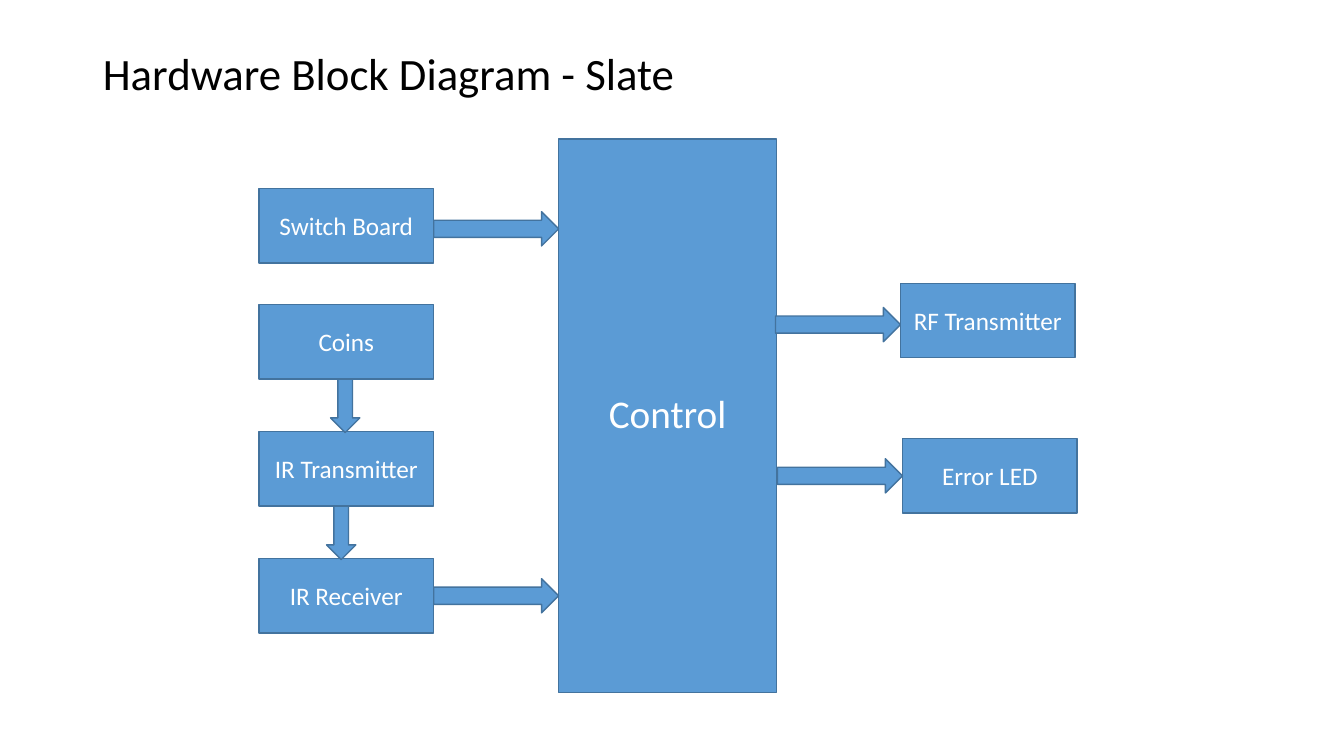
import pptx
import pptx.util
import pptx.dml.color
import pptx.enum.shapes
import pptx.enum.text

SHAPE = pptx.enum.shapes.MSO_SHAPE
ALIGN = pptx.enum.text.PP_ALIGN
WIDTH, HEIGHT = pptx.util.Inches(13.33), pptx.util.Inches(7.5)
FONT, BLUE, EDGE, WHITE, BLACK = "Calibri", "5B9BD5", "43739E", "FFFFFF", "000000"

# Lengths are percent of the slide: columns across, rows down
BOX_W, BOX_H = 13, 9.87
LEFT_COL = 19.27
BOARD_X, BOARD_Y, BOARD_W, BOARD_H = 41.57, 18.4, 16.2, 73.2
BOARD_RIGHT = BOARD_X + BOARD_W
LINK_W, LINK_H = 9.3, 4.53
DOWN_W, DOWN_H = 2.18, 7.07

# Label, row, and offset of the link arrow below the box top (None: no link)
INPUTS = [
    ("Switch Board", 24.93, 3.07),
    ("Coins", 40.27, None),
    ("IR Transmitter", 57.07, None),
    ("IR Receiver", 73.87, 2.67),
]
# Label, column, row, arrow offset
OUTPUTS = [
    ("RF Transmitter", 67, 37.47, 3.2),
    ("Error LED", 67.15, 58, 2.67),
]
# Row of the box above each downward arrow, and the arrow's column
STEPS = [(40.27, 24.6), (57.07, 24.3)]


def color(value):
    return pptx.dml.color.RGBColor.from_string(value)


def place(x, y, w, h):
    return [int(v * full / 100) for v, full in
            ((x, WIDTH), (y, HEIGHT), (w, WIDTH), (h, HEIGHT))]


def write(s, text, size=18, fill=WHITE, align=ALIGN.CENTER, spacing=None):
    tf = s.text_frame
    tf.word_wrap = True
    tf.vertical_anchor = pptx.enum.text.MSO_ANCHOR.MIDDLE
    p = tf.paragraphs[0]
    p.alignment = align
    p.line_spacing = spacing
    r = p.add_run()
    r.text = text
    r.font.name = FONT
    r.font.size = pptx.util.Pt(size)
    r.font.color.rgb = color(fill)


def add_block(slide, x, y, w, h, kind=SHAPE.RECTANGLE):
    s = slide.shapes.add_shape(kind, *place(x, y, w, h))
    s.shadow.inherit = False
    s.fill.solid()
    s.fill.fore_color.rgb = color(BLUE)
    s.line.color.rgb = color(EDGE)
    s.line.width = pptx.util.Pt(1)
    return s


def add_box(slide, text, x, y):
    write(add_block(slide, x, y, BOX_W, BOX_H), text)


def add_link(slide, x, y):
    add_block(slide, x, y, LINK_W, LINK_H, SHAPE.RIGHT_ARROW)


def add_title(slide, text):
    s = slide.shapes.title
    s.left, s.top, s.width, s.height = place(6.9, 4, 63.92, 12)
    write(s, text, size=32, fill=BLACK, align=ALIGN.LEFT, spacing=0.9)


def main():
    prs = pptx.Presentation()
    prs.slide_width, prs.slide_height = WIDTH, HEIGHT
    slide = prs.slides.add_slide(prs.slide_layouts.get_by_name("Title Only"))
    add_title(slide, "Hardware Block Diagram - Slate")

    # Central board
    board = add_block(slide, BOARD_X, BOARD_Y, BOARD_W, BOARD_H)
    write(board, "Control", size=28, spacing=0.9)

    # Inputs on the left
    for text, y, offset in INPUTS:
        add_box(slide, text, LEFT_COL, y)
        if offset is not None:
            add_link(slide, LEFT_COL + BOX_W, y + offset)

    # Outputs on the right
    for text, x, y, offset in OUTPUTS:
        add_box(slide, text, x, y)
        add_link(slide, x - LINK_W, y + offset)

    # Downward steps between the inputs
    for y, x in STEPS:
        add_block(slide, x, y + BOX_H, DOWN_W, DOWN_H, SHAPE.DOWN_ARROW)

    prs.save("out.pptx")


main()
